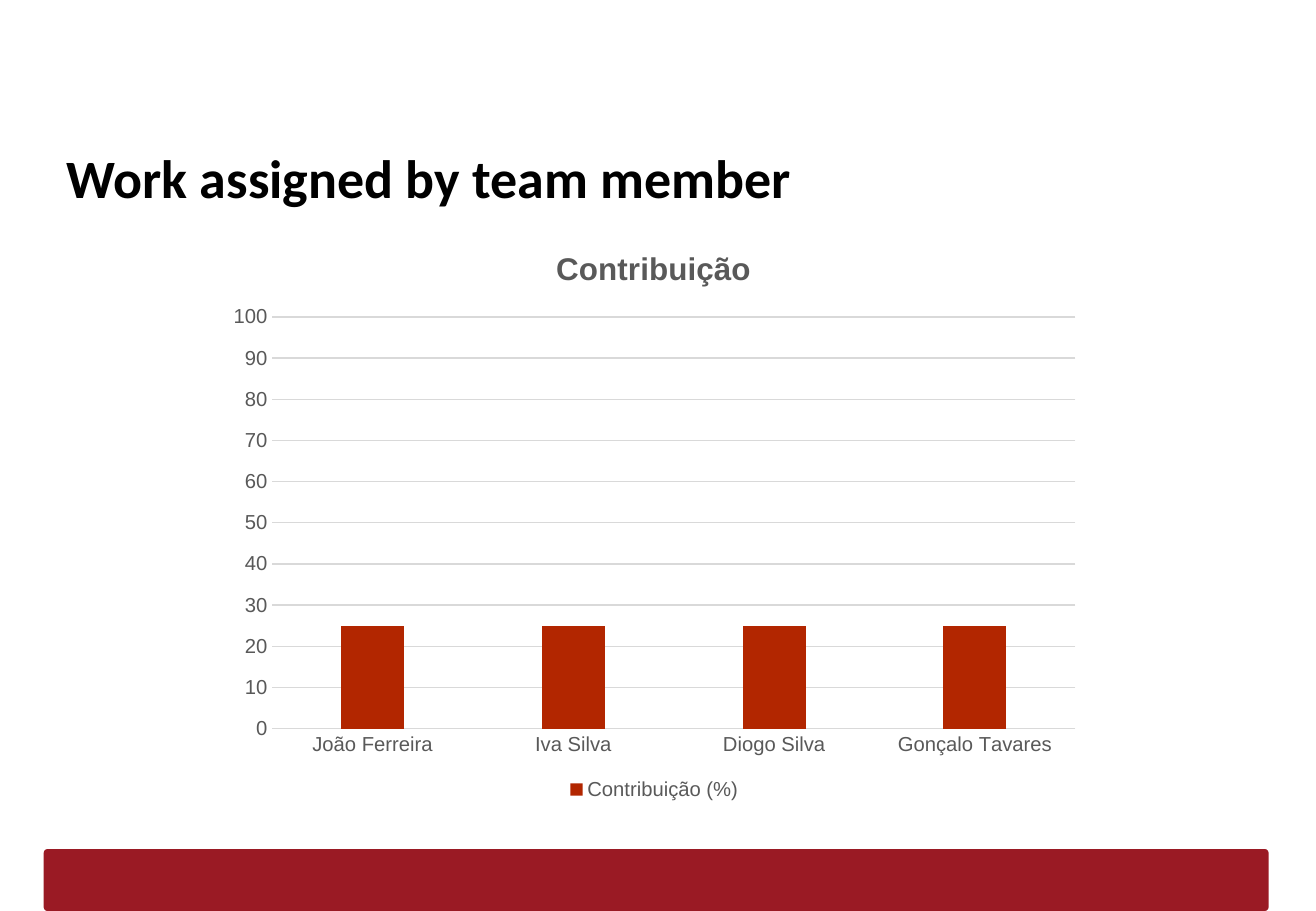
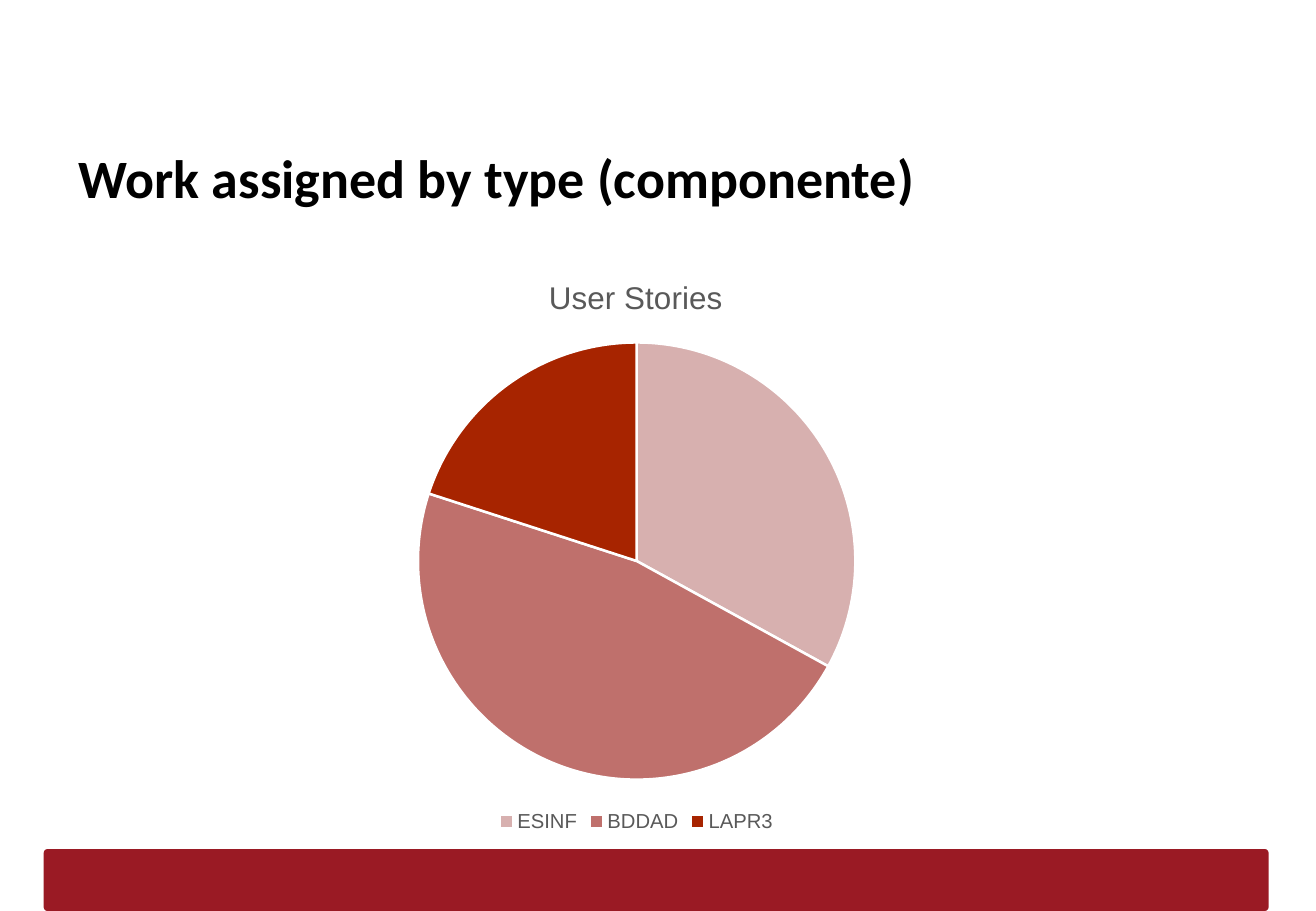
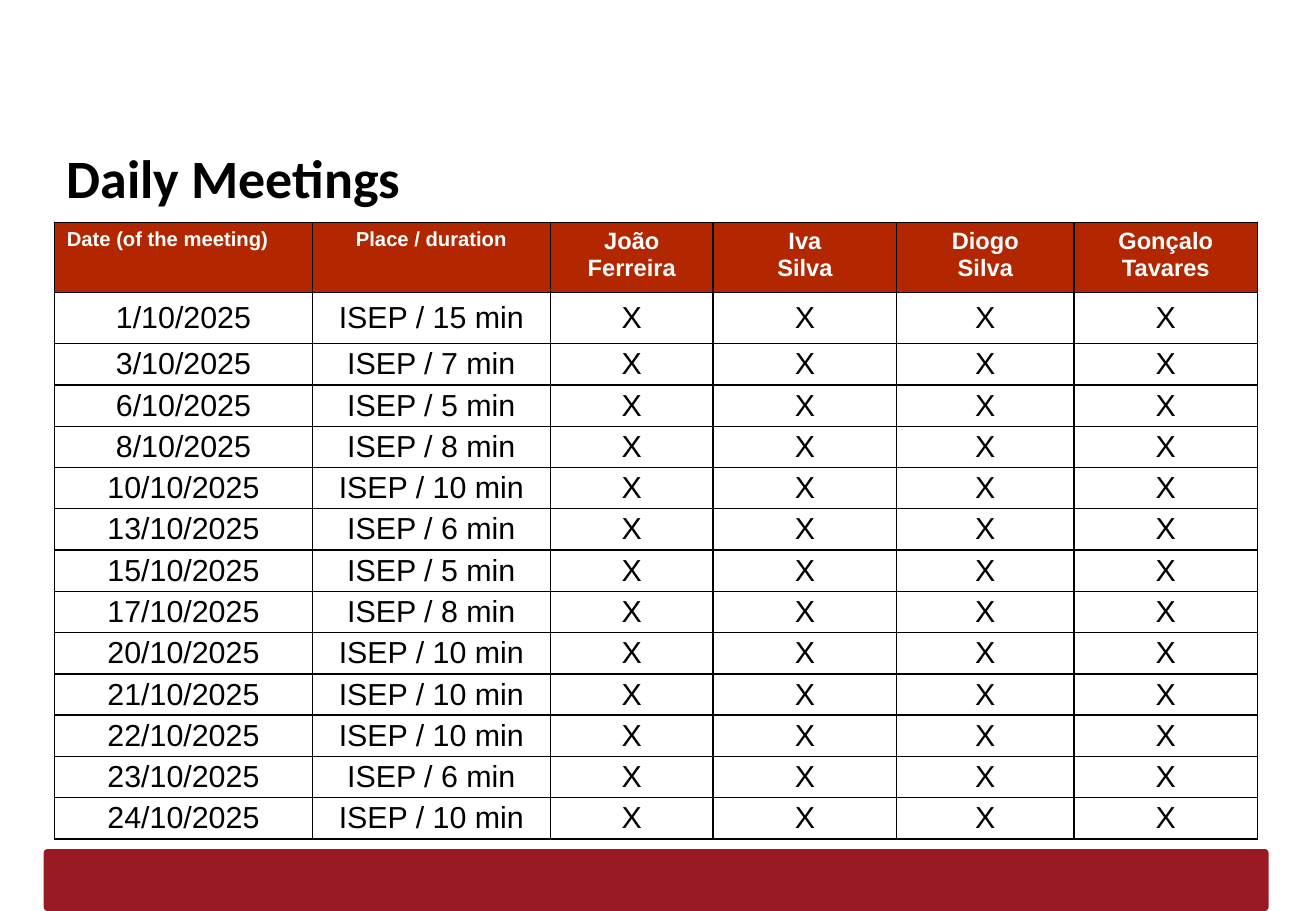
from dataclasses import dataclass

from lxml import etree
from pptx import Presentation
from pptx.chart.data import CategoryChartData
from pptx.dml.color import RGBColor
from pptx.enum.chart import XL_CHART_TYPE, XL_LEGEND_POSITION, XL_TICK_MARK
from pptx.enum.shapes import MSO_SHAPE
from pptx.enum.text import MSO_ANCHOR, PP_ALIGN
from pptx.oxml.ns import qn
from pptx.util import Inches, Pt

COLUMN = XL_CHART_TYPE.COLUMN_CLUSTERED
PIE = XL_CHART_TYPE.PIE
BOTTOM = XL_LEGEND_POSITION.BOTTOM
NO_TICK = XL_TICK_MARK.NONE
ROUNDED = MSO_SHAPE.ROUNDED_RECTANGLE
TOP, MIDDLE = MSO_ANCHOR.TOP, MSO_ANCHOR.MIDDLE
LEFT, CENTER = PP_ALIGN.LEFT, PP_ALIGN.CENTER


@dataclass(frozen=True)
class Theme:
    heading_font: str = "Calibri"
    body_font: str = "Arial"
    band: str = "9A1A24"
    accent: str = "B22600"
    text: str = "000000"
    light: str = "FFFFFF"
    chart_text: str = "595959"
    grid: str = "D9D9D9"
    title_size: float = 32
    chart_title_size: float = 18.6
    chart_size: float = 12
    header_size: float = 12
    name_size: float = 14
    cell_size: float = 18


THEME = Theme()
TEAM = ["João Ferreira", "Iva Silva", "Diogo Silva", "Gonçalo Tavares"]

CONTRIBUTION = {
    "kind": COLUMN, "title": "Contribuição", "bold": True,
    "series": "Contribuição (%)", "categories": TEAM, "values": [25] * len(TEAM),
    "box": (1.77, 1.83, 7.22, 4.81), "plot_at": (2.24, 2.61, 6.61, 3.39),
    "title_at": (4.53, 1.99), "legend_at": (4.64, 6.41),
}
USER_STORIES = {
    "kind": PIE, "title": "User Stories", "bold": False,
    "series": "Series 1", "categories": ["ESINF", "BDDAD", "LAPR3"],
    "values": [33, 47, 20], "colors": ["D7B0AF", "BF706C", "A72400"],
    "box": (1.63, 2.08, 7.22, 4.81), "plot_at": (3.44, 2.82, 3.6, 3.6),
    "title_at": (4.47, 2.23),
}

MEETINGS = [
    (1, 15), (3, 7), (6, 5), (8, 8), (10, 10), (13, 6), (15, 5),
    (17, 8), (20, 10), (21, 10), (22, 10), (23, 6), (24, 10),
]
MEETING_COLUMNS = [2.12, 1.96, 1.34, 1.51, 1.46, 1.51]
HEADER_HEIGHT, FIRST_HEIGHT, ROW_HEIGHT = 0.58, 0.42, 0.34
CELL_MARGIN = 0.01


def color(value):
    return RGBColor.from_string(value)


def inches(values):
    return [Inches(value) for value in values]


def style_font(font, size, value, name=THEME.body_font, bold=False):
    font.size, font.bold, font.name = Pt(size), bold, name
    font.color.rgb = color(value)


def style_text(text_frame, size, value, name=THEME.body_font, bold=False, alignment=LEFT):
    for paragraph in text_frame.paragraphs:
        paragraph.alignment = alignment
        for run in paragraph.runs:
            style_font(run.font, size, value, name, bold)


def add_base_slide(presentation, title, indent=0):
    slide = presentation.slides.add_slide(presentation.slide_layouts[6])
    band = slide.shapes.add_shape(ROUNDED, *inches((0.36, 6.99, 10.08, 0.51)))
    band.adjustments[0] = 0.06
    band.shadow.inherit = False
    band.fill.solid()
    band.fill.fore_color.rgb = color(THEME.band)
    band.line.fill.background()

    title_box = slide.shapes.add_textbox(*inches((0.45 + indent, 1.09, 9.89 - indent, 0.63)))
    text_frame = title_box.text_frame
    text_frame.word_wrap = True
    text_frame.vertical_anchor = TOP
    text_frame.margin_left = text_frame.margin_right = Inches(0.1)
    text_frame.margin_top = text_frame.margin_bottom = Inches(0.1)
    text_frame.text = title
    style_text(text_frame, THEME.title_size, THEME.text, THEME.heading_font, True)
    return slide


def place_chart_part(part, index, position, box):
    for layout in part.findall(qn("c:layout")):
        part.remove(layout)
    layout = etree.Element(qn("c:layout"))
    manual = etree.SubElement(layout, qn("c:manualLayout"))
    left, top, width, height = box
    fractions = [(position[0] - left) / width, (position[1] - top) / height]
    settings = [("xMode", "edge"), ("yMode", "edge")]
    if len(position) == 4:
        settings.insert(0, ("layoutTarget", "inner"))
        fractions += [position[2] / width, position[3] / height]
    settings += zip("xywh", fractions)
    for tag, value in settings:
        etree.SubElement(manual, qn(f"c:{tag}")).set("val", str(value))
    part.insert(index, layout)


def add_chart(slide, content):
    data = CategoryChartData()
    data.categories = content["categories"]
    data.add_series(content["series"], content["values"])
    frame = slide.shapes.add_chart(content["kind"], *inches(content["box"]), data)
    chart = frame.chart
    style_font(chart.font, THEME.chart_size, THEME.chart_text)

    chart.has_title = True
    title_frame = chart.chart_title.text_frame
    title_frame.text = content["title"]
    style_text(title_frame, THEME.chart_title_size, THEME.chart_text,
               bold=content["bold"], alignment=CENTER)
    chart.has_legend = True
    chart.legend.position = BOTTOM
    chart.legend.include_in_layout = False
    style_font(chart.legend.font, THEME.chart_size, THEME.chart_text)

    for tag, index, key in (("title", 1, "title_at"), ("plotArea", 0, "plot_at"),
                            ("legend", 1, "legend_at")):
        if key in content:
            part = chart.element.find(f"{qn('c:chart')}/{qn(f'c:{tag}')}")
            place_chart_part(part, index, content[key], content["box"])
    return chart


def style_columns(chart):
    plot = chart.plots[0]
    plot.vary_by_categories = False
    plot.gap_width, plot.overlap = 219, -27
    fill = plot.series[0].format.fill
    fill.solid()
    fill.fore_color.rgb = color(THEME.accent)

    for axis in (chart.category_axis, chart.value_axis):
        axis.major_tick_mark = axis.minor_tick_mark = NO_TICK
        style_font(axis.tick_labels.font, THEME.chart_size, THEME.chart_text)
    value_axis = chart.value_axis
    value_axis.minimum_scale, value_axis.maximum_scale = 0, 100
    value_axis.major_unit = 10
    value_axis.has_major_gridlines = True
    value_axis.format.line.fill.background()
    for line in (chart.category_axis.format.line, value_axis.major_gridlines.format.line):
        line.color.rgb = color(THEME.grid)
        line.width = Pt(0.75)


def style_slices(chart, colors):
    plot = chart.plots[0]
    plot.vary_by_categories = True
    for index, value in enumerate(colors):
        point_format = plot.series[0].points[index].format
        point_format.fill.solid()
        point_format.fill.fore_color.rgb = color(value)
        point_format.line.color.rgb = color(THEME.light)
        point_format.line.width = Pt(1.5)


def add_borders(cell):
    properties = cell._tc.get_or_add_tcPr()
    for index, side in enumerate("LRTB"):
        line = etree.Element(qn(f"a:ln{side}"), w=str(Pt(1)))
        fill = etree.SubElement(line, qn("a:solidFill"))
        etree.SubElement(fill, qn("a:srgbClr"), val=THEME.text)
        properties.insert(index, line)


def add_meeting_table(slide):
    header = ["Date (of the meeting)", "Place / duration"]
    header += [name.replace(" ", "\n") for name in TEAM]
    rows = [header]
    rows += [[f"{day}/10/2025", f"ISEP / {minutes} min"] + ["X"] * len(TEAM)
             for day, minutes in MEETINGS]
    heights = [HEADER_HEIGHT, FIRST_HEIGHT] + [ROW_HEIGHT] * (len(MEETINGS) - 1)
    box = inches((0.45, 1.83, sum(MEETING_COLUMNS), sum(heights)))
    table = slide.shapes.add_table(len(rows), len(header), *box).table
    table.first_row = table.horz_banding = False
    for column, width in zip(table.columns, MEETING_COLUMNS):
        column.width = Inches(width)
    for row, height in zip(table.rows, heights):
        row.height = Inches(height)

    for row_index, texts in enumerate(rows):
        for column_index, text in enumerate(texts):
            cell = table.cell(row_index, column_index)
            cell.text_frame.text = text
            if row_index == 0:
                cell.fill.solid()
                cell.fill.fore_color.rgb = color(THEME.accent)
                size = THEME.header_size if column_index < 2 else THEME.name_size
                alignment = LEFT if column_index == 0 else CENTER
                style_text(cell.text_frame, size, THEME.light, bold=True, alignment=alignment)
            else:
                cell.fill.background()
                cell.margin_top = cell.margin_bottom = Inches(CELL_MARGIN)
                cell.vertical_anchor = MIDDLE
                style_text(cell.text_frame, THEME.cell_size, THEME.text, alignment=CENTER)
            add_borders(cell)


def main():
    presentation = Presentation()
    presentation.slide_width, presentation.slide_height = Inches(10.83), Inches(7.5)

    slide = add_base_slide(presentation, "Work assigned by team member")
    style_columns(add_chart(slide, CONTRIBUTION))

    slide = add_base_slide(presentation, "Work assigned by type (componente)", indent=0.1)
    style_slices(add_chart(slide, USER_STORIES), USER_STORIES["colors"])

    slide = add_base_slide(presentation, "Daily Meetings")
    add_meeting_table(slide)

    presentation.save("out.pptx")


if __name__ == "__main__":
    main()
